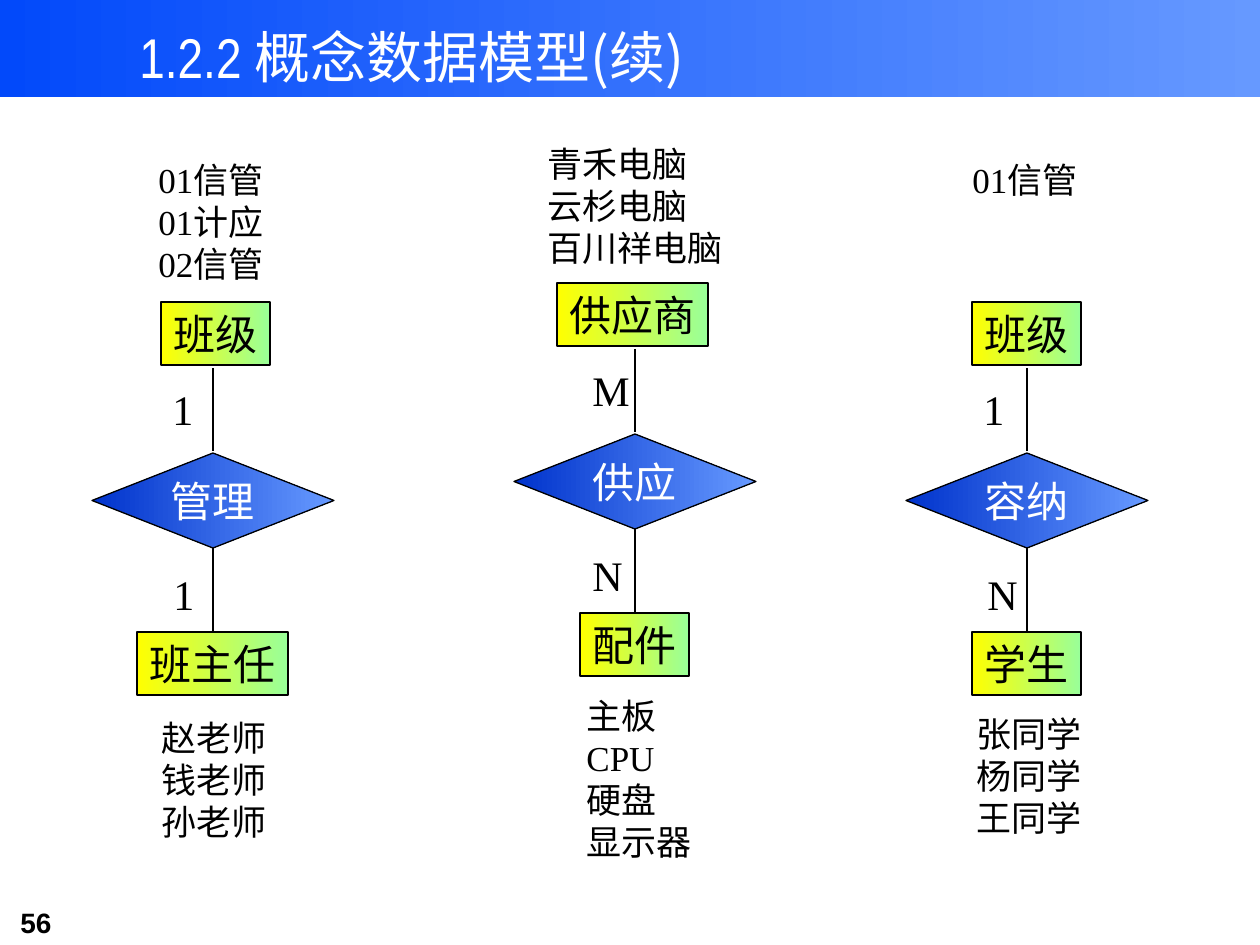
"""Build the slide of three entity-relationship diagrams."""
import pptx
import pptx.dml.color
import pptx.enum.shapes
import pptx.enum.text
import pptx.oxml
import pptx.oxml.ns
import pptx.util

RGB = pptx.dml.color.RGBColor
BLACK = RGB(0x00, 0x00, 0x00)
WHITE = RGB(0xFF, 0xFF, 0xFF)
YELLOW = RGB(0xFF, 0xFF, 0x00)
GREEN = RGB(0x99, 0xFF, 0x99)
SKY = RGB(0x66, 0x99, 0xFF)
BLUE = RGB(0x02, 0x49, 0xFA)
NAVY = RGB(0x00, 0x33, 0xCC)
SERIF = "Times New Roman"
SANS = "Noto Sans CJK SC"
KIND = pptx.enum.shapes.MSO_SHAPE
FIT = pptx.enum.text.MSO_AUTO_SIZE
ALIGN = pptx.enum.text.PP_ALIGN
ANCHOR = pptx.enum.text.MSO_ANCHOR
SCALE = 914400 / 126


def px(*sizes):
    return [pptx.util.Emu(round(size * SCALE)) for size in sizes]


def write(para, text, size=24, color=BLACK, face=SERIF, bold=False):
    run = para.add_run()
    run.text = text
    font = run.font
    font.size = pptx.util.Pt(size)
    font.name = face
    font.bold = bold
    font.color.rgb = color
    east = pptx.oxml.parse_xml(
        f'<a:ea {pptx.oxml.ns.nsdecls("a")} typeface="{SANS}"/>')
    font._element.find(pptx.oxml.ns.qn("a:latin")).addnext(east)


class Board:
    def __init__(self, slide):
        self.slide = slide
        self.width = pptx.util.Pt(0.75)

    def block(self, kind, place, start, end, edge=True):
        shape = self.slide.shapes.add_shape(kind, *px(*place))
        shape.shadow.inherit = False
        shape.fill.gradient()
        shape.fill.gradient_angle = 0
        for stop, color in zip(shape.fill.gradient_stops, (start, end)):
            stop.color.rgb = color
        if edge:
            shape.line.color.rgb = BLACK
            shape.line.width = self.width
        else:
            shape.line.fill.background()
        return shape

    def box(self, left, top, text):
        place = left, top, 25 + 42 * len(text), 63
        frame = self.block(KIND.RECTANGLE, place, YELLOW, GREEN).text_frame
        frame.word_wrap = False
        frame.auto_size = FIT.SHAPE_TO_FIT_TEXT
        frame.vertical_anchor = ANCHOR.TOP
        para = frame.paragraphs[0]
        para.alignment = ALIGN.LEFT
        write(para, text)

    def gem(self, mid, top, text):
        place = mid - 121, top, 242, 95
        frame = self.block(KIND.FLOWCHART_DECISION, place, NAVY, SKY).text_frame
        frame.word_wrap = False
        frame.vertical_anchor = ANCHOR.MIDDLE
        para = frame.paragraphs[0]
        para.alignment = ALIGN.CENTER
        write(para, text, color=WHITE)

    def line(self, mid, top, end):
        link = self.slide.shapes.add_connector(
            pptx.enum.shapes.MSO_CONNECTOR.STRAIGHT, *px(mid, top, mid, end))
        link.line.color.rgb = BLACK
        link.line.width = self.width
        link._element.spPr.append(pptx.oxml.parse_xml(
            f'<a:effectLst {pptx.oxml.ns.nsdecls("a")}/>'))

    def frame(self, place, wrap=False):
        frame = self.slide.shapes.add_textbox(*px(*place)).text_frame
        frame.word_wrap = wrap
        return frame

    def list(self, left, top, width, lines, size=20):
        frame = self.frame((left, top, width, 13 + 42 * len(lines)))
        frame.auto_size = FIT.SHAPE_TO_FIT_TEXT
        for num, text in enumerate(lines):
            para = frame.add_paragraph() if num else frame.paragraphs[0]
            write(para, text, size=size)

    def chain(self, mid, top, verb, boxes, marks, lists):
        self.gem(mid, top, verb)
        self.line(mid, top - 85, top - 2)
        self.line(mid, top + 95, top + 178)
        for (left, text), shift in zip(boxes, (-151, 179)):
            self.box(left, top + shift, text)
        for (left, width, text), shift in zip(marks, (-76, 109)):
            self.list(left, top + shift, width, [text], size=24)
        for item in lists:
            self.list(*item)


def main():
    deck = pptx.Presentation()
    deck.slide_width, deck.slide_height = px(1260, 945)
    board = Board(deck.slides.add_slide(deck.slide_layouts[6]))

    board.block(KIND.RECTANGLE, (0, 0, 1260, 97), BLUE, SKY, edge=False)
    title = board.frame((127, -17, 840, 113), wrap=True).paragraphs[0]
    title.line_spacing = 1.5
    write(title, "1.2.2 ", size=32, color=WHITE, face="Arial Narrow")
    write(title, "概念数据模型(续)", size=32, color=WHITE, face=SANS)
    page = board.frame((8, 899, 154, 46), wrap=True).paragraphs[0]
    write(page, "56", size=16, face="Arial", bold=True)

    board.chain(
        213, 453, "管理", [(161, "班级"), (137, "班主任")],
        [(160, 45, "1"), (161, 45, "1")],
        [(146, 152, 139, ["01信管", "01计应", "02信管"]),
         (149, 710, 130, ["赵老师", "钱老师", "孙老师"])])
    board.chain(
        635, 434, "供应", [(557, "供应商"), (580, "配件")],
        [(580, 62, "M"), (580, 55, "N")],
        [(535, 136, 204, ["青禾电脑", "云杉电脑", "百川祥电脑"]),
         (574, 688, 130, ["主板", "CPU", "硬盘", "显示器"])])
    board.chain(
        1027, 453, "容纳", [(972, "班级"), (972, "学生")],
        [(971, 45, "1"), (975, 55, "N")],
        [(960, 152, 139, ["01信管"]),
         (964, 706, 130, ["张同学", "杨同学", "王同学"])])
    deck.save("out.pptx")


if __name__ == "__main__":
    main()
